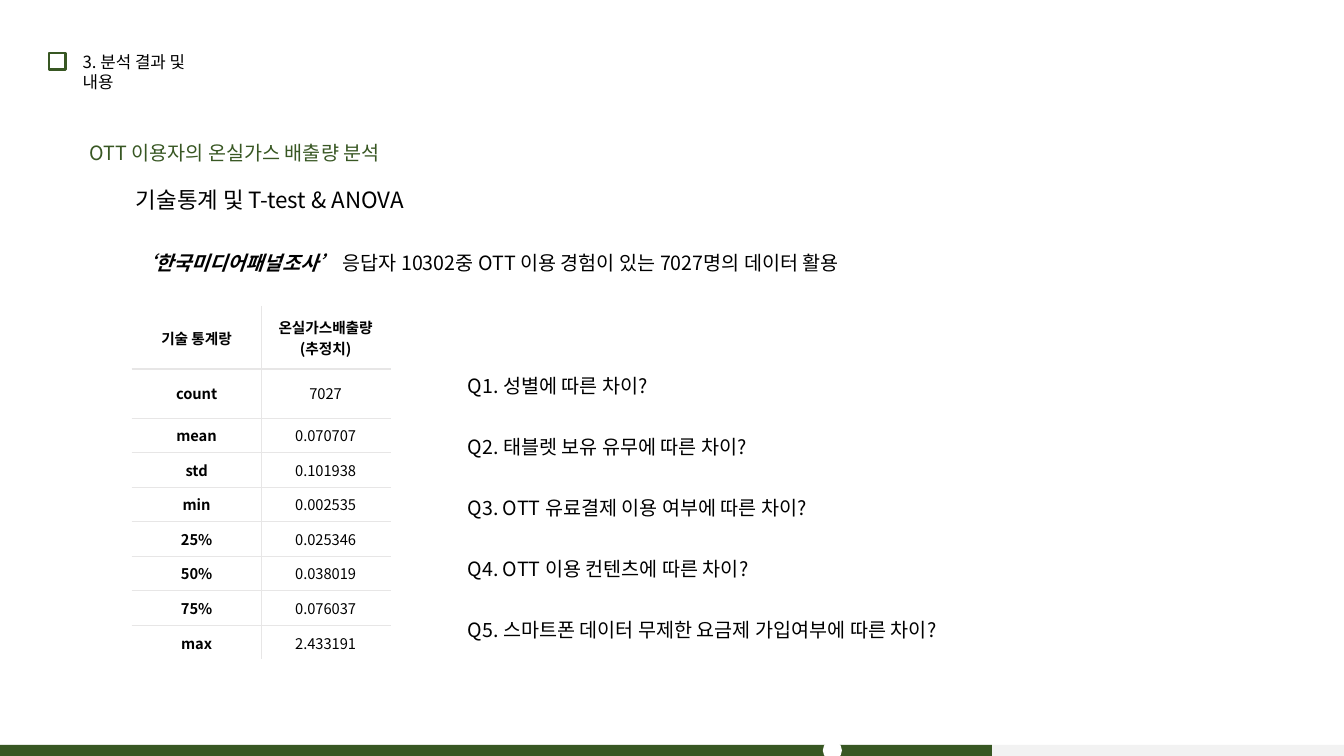
from lxml import etree
from pptx import Presentation
from pptx.dml.color import RGBColor
from pptx.enum.shapes import MSO_SHAPE
from pptx.enum.text import MSO_ANCHOR, MSO_AUTO_SIZE, PP_ALIGN
from pptx.oxml.ns import qn
from pptx.util import Inches, Pt

RECT, DOT = MSO_SHAPE.RECTANGLE, MSO_SHAPE.FLOWCHART_CONNECTOR
TOP, MIDDLE = MSO_ANCHOR.TOP, MSO_ANCHOR.MIDDLE
LEFT, CENTER = PP_ALIGN.LEFT, PP_ALIGN.CENTER
GROW, FIXED = MSO_AUTO_SIZE.SHAPE_TO_FIT_TEXT, MSO_AUTO_SIZE.NONE

STATISTICS = [
    ("기술 통계랑", "온실가스배출량(추정치)"),
    ("count", "7027"),
    ("mean", "0.070707"),
    ("std", "0.101938"),
    ("min", "0.002535"),
    ("25%", "0.025346"),
    ("50%", "0.038019"),
    ("75%", "0.076037"),
    ("max", "2.433191"),
]
QUESTIONS = [
    "Q1. 성별에 따른 차이?",
    "Q2. 태블렛 보유 유무에 따른 차이?",
    "Q3. OTT 유료결제 이용 여부에 따른 차이?",
    "Q4. OTT 이용 컨텐츠에 따른 차이?",
    "Q5. 스마트폰 데이터 무제한 요금제 가입여부에 따른 차이?",
]


def rgb(value):
    return RGBColor.from_string(value)


class Deck:
    """Style and current slide; lengths are percentages of the slide's size."""

    FONT = "Noto Sans CJK KR"
    GREEN, GREY, RULE = "385723", "F2F2F2", "E7E6E6"
    BLACK, WHITE = "000000", "FFFFFF"

    def __init__(self):
        self.prs = Presentation()
        self.prs.slide_width, self.prs.slide_height = Inches(13.33), Inches(7.5)
        self.s = self.prs.slides.add_slide(self.prs.slide_layouts[5])

    def x(self, share):
        return round(self.prs.slide_width * share / 100)

    def y(self, share):
        return round(self.prs.slide_height * share / 100)

    def box(self, left, top, width, height):
        return self.x(left), self.y(top), self.x(width), self.y(height)

    def font(self, p, size, color=BLACK, bold=None):
        """Set the paragraph's font for Latin and Korean text alike."""
        f = p.font
        f.size, f.name, f.bold = Pt(size), self.FONT, bold
        f.color.rgb = rgb(color)
        latin = p._p.pPr.find(qn("a:defRPr")).find(qn("a:latin"))
        ea = etree.Element(qn("a:ea"), typeface=self.FONT)
        latin.addnext(ea)

    def shape(self, kind, area, fill=None, line=None):
        sp = self.s.shapes.add_shape(kind, *self.box(*area))
        sp.shadow.inherit = False
        if fill:
            sp.fill.solid()
            sp.fill.fore_color.rgb = rgb(fill)
        else:
            sp.fill.background()
        if line:
            sp.line.color.rgb = rgb(line)
            sp.line.width = Pt(1.5)
        else:
            sp.line.fill.background()

    def fill_frame(self, tf, paragraphs, size, color, lines=1, gap=0):
        """Fill a frame; a paragraph is a list of (text, emphasised) runs."""
        tf.word_wrap, tf.vertical_anchor = True, TOP
        tf.auto_size = GROW if len(paragraphs) == 1 else FIXED
        for i, runs in enumerate(paragraphs):
            p = tf.add_paragraph() if i else tf.paragraphs[0]
            p.alignment = LEFT
            p.line_spacing = Pt(1.2 * size * lines)
            p.space_before = Pt(gap if i else 0)
            self.font(p, size, color)
            for text, emphasised in runs:
                r = p.add_run()
                r.text = text
                if emphasised:
                    r.font.bold = r.font.italic = True

    def title(self, area, text, size):
        sp = self.s.shapes.title
        sp.left, sp.top, sp.width, sp.height = self.box(*area)
        self.fill_frame(sp.text_frame, [[(text, False)]], size, self.BLACK)

    def text(self, area, paragraphs, size, color=BLACK, lines=1, gap=0):
        sp = self.s.shapes.add_textbox(*self.box(*area))
        self.fill_frame(sp.text_frame, paragraphs, size, color, lines, gap)

    def borders(self, cell, sides):
        tc_pr = cell._tc.get_or_add_tcPr()
        for i, side in enumerate(sides):
            ln = etree.Element(qn("a:ln" + side), w=str(Pt(1)))
            fill = etree.SubElement(ln, qn("a:solidFill"))
            etree.SubElement(fill, qn("a:srgbClr"), val=self.RULE)
            tc_pr.insert(i, ln)

    def table(self, left, top, col_width, row_heights, rows):
        n_cols, last = len(rows[0]), len(rows) - 1
        area = self.box(left, top, col_width * n_cols, sum(row_heights))
        tbl = self.s.shapes.add_table(len(rows), n_cols, *area).table
        tbl.first_row = tbl.horz_banding = False
        for col in tbl.columns:
            col.width = self.x(col_width)
        for i, values in enumerate(rows):
            tbl.rows[i].height = self.y(row_heights[i])
            for j, value in enumerate(values):
                cell = tbl.cell(i, j)
                cell.fill.background()
                cell.vertical_anchor = MIDDLE
                cell.margin_left = cell.margin_right = Inches(0.06)
                cell.margin_top = cell.margin_bottom = Inches(0.03)
                p = cell.text_frame.paragraphs[0]
                p.alignment = CENTER
                self.font(p, 10.5, bold=i == 0 or j == 0)
                p.add_run().text = value
                inner = {"L": j > 0, "R": j < n_cols - 1, "T": i > 0, "B": i < last}
                self.borders(cell, [side for side, drawn in inner.items() if drawn])


def main():
    d = Deck()
    d.title((5.4, 6.13, 11.7, 4), "3. 분석 결과 및 내용", 12)
    d.shape(RECT, (3.68, 7.07, 1.2, 2.13), line=d.GREEN)

    d.text((5.93, 18, 26.33, 4.53),
           [[("OTT 이용자의 온실가스 배출량 분석", False)]], 14, d.GREEN)
    d.text((9.38, 24, 41.79, 4.93),
           [[("기술통계 및 T-test & ANOVA", False)]], 16)
    d.text((9.38, 32.53, 59.56, 4.53),
           [[("‘한국미디어패널조사’", True),
             (" 응답자 10302중 OTT 이용 경험이 있는 7027명의 데이터 활용", False)]], 14)

    d.table(9.83, 40.53, 9.6, [8.27, 6.53] + [4.57] * 7, STATISTICS)
    d.text((34.06, 45.73, 43.59, 41.6),
           [[(question, False)] for question in QUESTIONS], 14, lines=2, gap=10)

    bar_top, bar_height = 98.53, 1.47
    d.shape(RECT, (0, bar_top, 100, bar_height), fill=d.GREY)
    d.shape(RECT, (0, bar_top, 73.8, bar_height), fill=d.GREEN)
    d.shape(DOT, (61.22, 98, 1.43, 2.53), fill=d.WHITE)
    d.prs.save("out.pptx")


if __name__ == "__main__":
    main()
